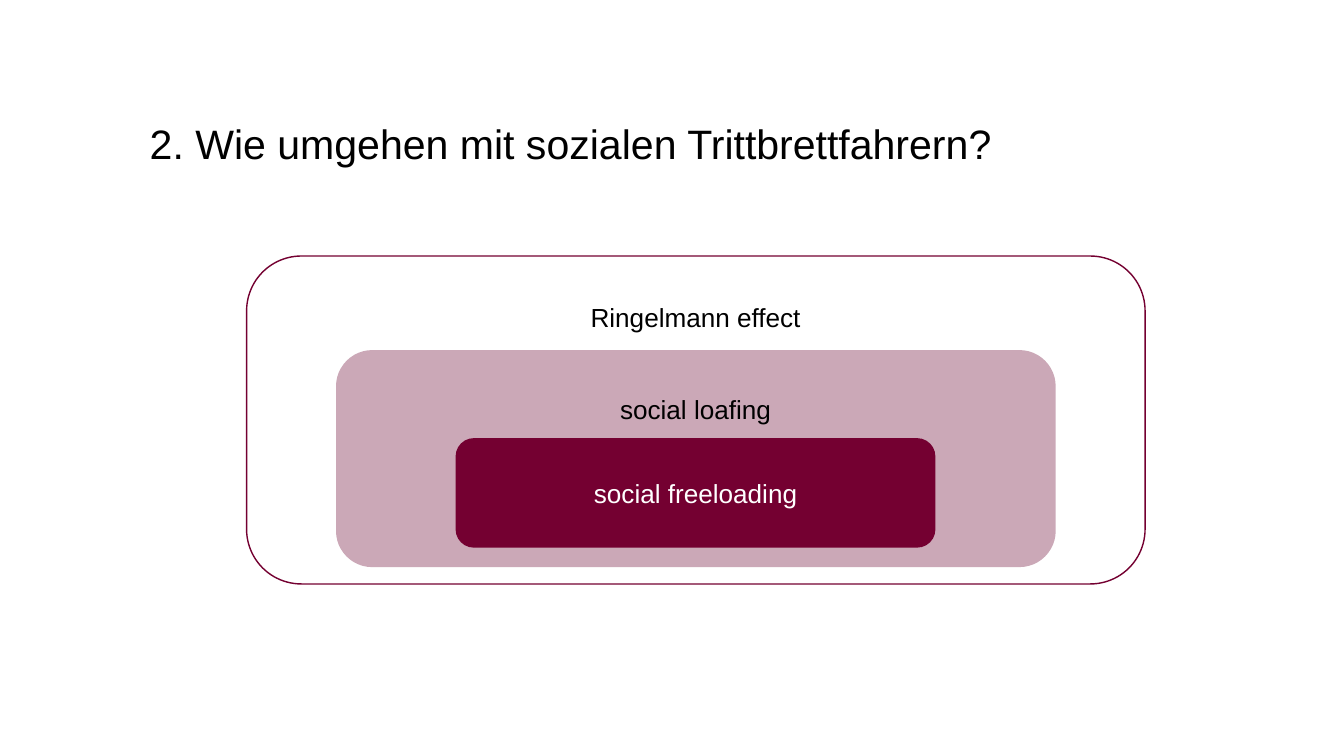
from dataclasses import dataclass

from pptx import Presentation
from pptx.dml.color import RGBColor as RGB
from pptx.enum.shapes import MSO_SHAPE as SHAPE
from pptx.enum.text import MSO_ANCHOR as ANCHOR, PP_ALIGN as ALIGN
from pptx.util import Pt

PX = 9144  # 100 px to the inch


@dataclass(frozen=True)
class Theme:
    font: str = "Arial"
    head: int = 44
    body: int = 28
    black: str = "000000"
    white: str = "FFFFFF"
    wine: str = "740031"
    rose: str = "CBA8B7"


THEME = Theme()


def emu(*box):
    return [n * PX for n in box]


def write(shape, text, size=THEME.body, color=THEME.black,
          align=ALIGN.CENTER, anchor=ANCHOR.MIDDLE, lead=None):
    frame = shape.text_frame
    frame.word_wrap = True
    frame.vertical_anchor = anchor
    para = frame.paragraphs[0]
    para.alignment = align
    para.line_spacing = lead
    run = para.add_run()
    run.text = text
    font = run.font
    font.name, font.size = THEME.font, Pt(size)
    font.color.rgb = RGB.from_string(color)


def title(slide, box, text):
    area = slide.shapes.add_textbox(*emu(*box))
    write(area, text, size=THEME.head, align=ALIGN.LEFT, lead=0.9)


def panel(slide, box, fill=None, line=None):
    shape = slide.shapes.add_shape(SHAPE.ROUNDED_RECTANGLE, *emu(*box))
    shape.shadow.inherit = False
    shape.adjustments[0] = 0.167
    if fill:
        shape.fill.solid()
        shape.fill.fore_color.rgb = RGB.from_string(fill)
    else:
        shape.fill.background()
    if line:
        shape.line.color.rgb = RGB.from_string(line)
        shape.line.width = Pt(1.5)
    else:
        shape.line.fill.background()
    return shape


def nest(slide, box):
    left, top, wide, high = box

    def inner(drop, w, h):
        return left + (wide - w) // 2, top + drop, w, h

    # Panels, from the outside in
    panel(slide, box, line=THEME.wine)
    panel(slide, inner(140, 1071, 323), fill=THEME.rose)
    core = panel(slide, inner(271, 714, 163), fill=THEME.wine)
    write(core, "social freeloading", color=THEME.white)

    # Labels of the two outer panels
    for text, drop in (("Ringelmann effect", 63), ("social loafing", 200)):
        label = slide.shapes.add_textbox(*emu(*inner(drop, 500, 57)))
        write(label, text, anchor=ANCHOR.TOP)


def main():
    deck = Presentation()
    deck.slide_width, deck.slide_height = emu(2000, 1125)
    slide = deck.slides.add_slide(deck.slide_layouts[6])
    title(slide, (213, 149, 1575, 138),
          "2. Wie umgehen mit sozialen Trittbrettfahrern?")
    nest(slide, (367, 381, 1337, 488))
    deck.save("out.pptx")


if __name__ == "__main__":
    main()
